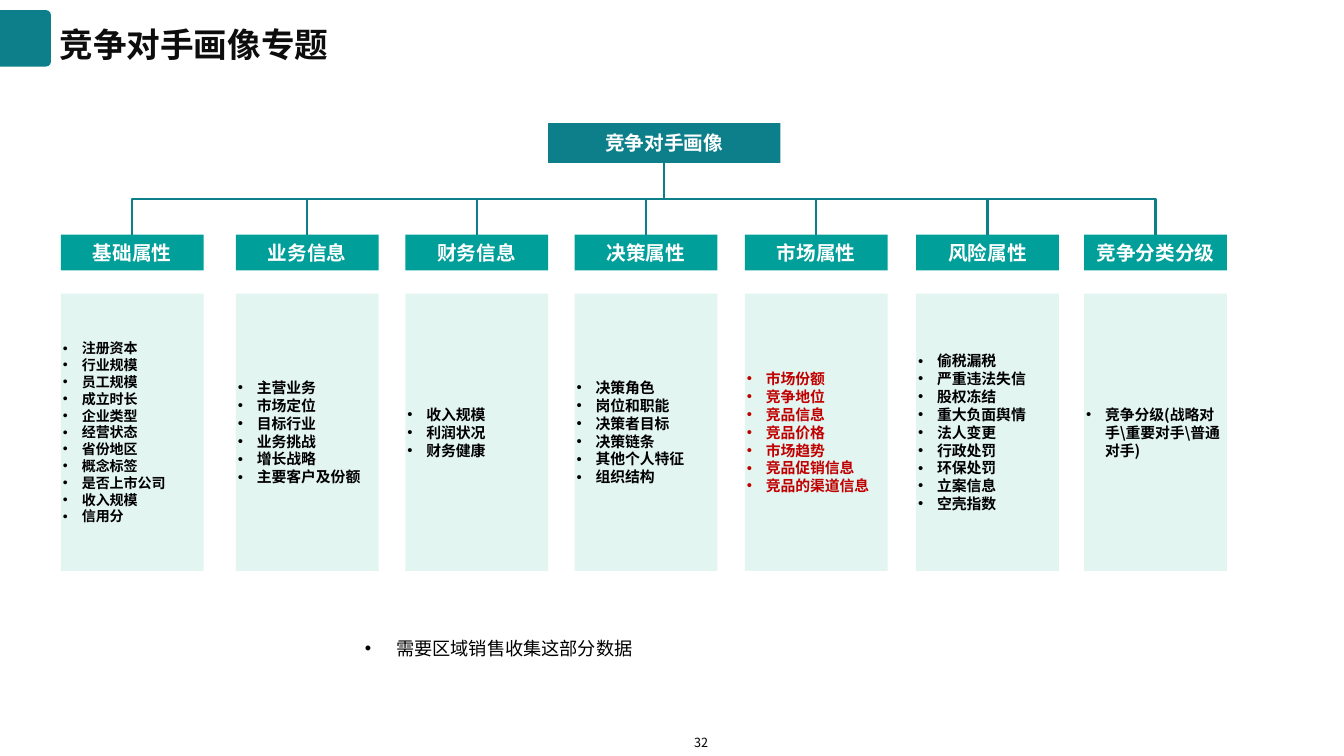
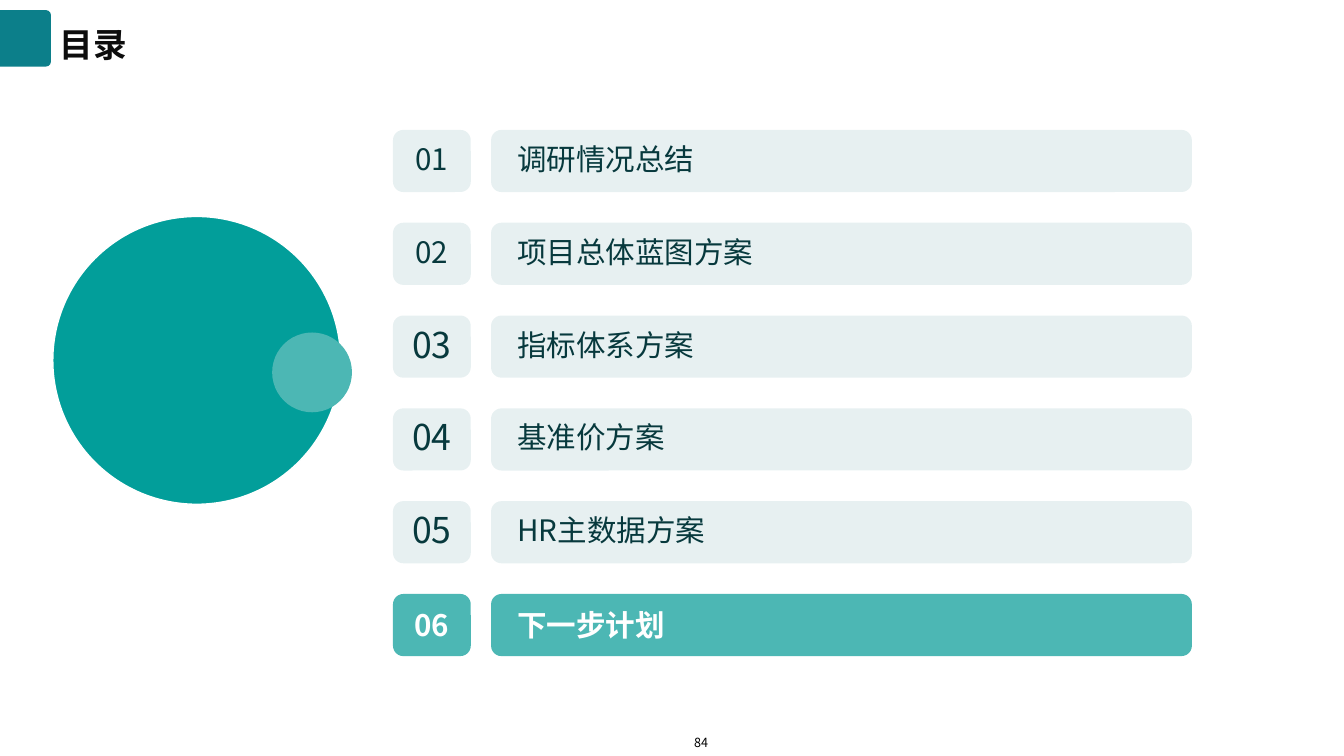
from lxml import etree
from pptx import Presentation
from pptx.dml.color import RGBColor
from pptx.enum import shapes, text
from pptx.oxml.ns import qn
from pptx.util import Pt

COLOURS = {
    "white": "FFFFFF", "black": "000000", "title": "0D0D0D",
    "deep_teal": "0C7F8A", "teal": "009F9A", "circle": "029E9A",
    "light_teal": "4CB7B4", "panel": "E3F5F1", "row": "1A757E",
    "row_text": "07393D", "alert": "C00000",
}
FONT = "Noto Sans CJK SC"
SHAPE = shapes.MSO_SHAPE
CENTRE, LEFT = text.PP_ALIGN.CENTER, text.PP_ALIGN.LEFT


def add_box(slide, kind, box, fill=None, opacity=None):
    """Add a plain shape, or a text box when kind is None."""
    lengths = [Pt(value) for value in box]
    if kind is None:
        return slide.shapes.add_textbox(*lengths)
    shape = slide.shapes.add_shape(kind, *lengths)
    shape.shadow.inherit = False
    shape.line.fill.background()
    shape.fill.solid()
    shape.fill.fore_color.rgb = RGBColor.from_string(COLOURS[fill])
    if opacity:
        colour = shape.fill._xPr.find(".//" + qn("a:srgbClr"))
        etree.SubElement(colour, qn("a:alpha"), val=str(opacity * 1000))
    return shape


def write(shape, lines, size, colour, bold=False, align=LEFT, spacing=None,
          insets=(0, 0, 0, 0), anchor=text.MSO_ANCHOR.MIDDLE, bullet_indent=0):
    """Fill a shape with evenly formatted paragraphs."""
    frame = shape.text_frame
    sides = ("margin_left", "margin_top", "margin_right", "margin_bottom")
    frame_format = {"word_wrap": True, "vertical_anchor": anchor,
                    **{side: Pt(inset) for side, inset in zip(sides, insets)}}
    for name, value in frame_format.items():
        setattr(frame, name, value)
    frame.text = "\n".join(lines)
    for paragraph in frame.paragraphs:
        paragraph.alignment = align
        paragraph.line_spacing = spacing
        if bullet_indent:
            properties = paragraph._p.get_or_add_pPr()
            properties.set("marL", str(Pt(bullet_indent)))
            properties.set("indent", str(-Pt(bullet_indent)))
            etree.SubElement(properties, qn("a:buFont"), typeface="Arial")
            etree.SubElement(properties, qn("a:buChar"), char="•")
        font = paragraph.runs[0].font
        for name, value in {"name": FONT, "size": Pt(size), "bold": bold}.items():
            setattr(font, name, value)
        font.color.rgb = RGBColor.from_string(COLOURS[colour])
        etree.SubElement(font._element, qn("a:ea"), typeface=FONT)


presentation = Presentation()
presentation.slide_width, presentation.slide_height = Pt(960), Pt(540)

# Shared frame: badge, title and page number
slides = []
for title, page in (("竞争对手画像专题", "32"), ("目录", "84")):
    slide = presentation.slides.add_slide(presentation.slide_layouts[6])
    badge = add_box(slide, SHAPE.ROUND_2_SAME_RECTANGLE, (-2, 9.2, 40.4, 36.4), "deep_teal")
    badge.rotation = 90
    badge.adjustments[0] = 0.1
    write(add_box(slide, None, (42.5, 7.2, 836.6, 40.3)), [title], 24, "title",
          bold=True, spacing=1.3)
    write(add_box(slide, None, (478.8, 521.3, 44, 18)), [page], 9, "black",
          align=CENTRE, insets=(3, 3.6, 3, 3.6), anchor=text.MSO_ANCHOR.TOP)
    slides.append(slide)
profile_slide, contents_slide = slides

# Competitor profile: root of the tree
root = add_box(profile_slide, SHAPE.RECTANGLE, (391.6, 88, 165.8, 28.4), "deep_teal")
write(root, ["竞争对手画像"], 14, "white", bold=True, align=CENTRE)

# Branches: left edge, heading, items, text size, text colour
branches = [
    (43.5, "基础属性", ["注册资本", "行业规模", "员工规模", "成立时长", "企业类型", "经营状态",
                    "省份地区", "概念标签", "是否上市公司", "收入规模", "信用分"], 10, "black"),
    (168.5, "业务信息", ["主营业务", "市场定位", "目标行业", "业务挑战", "增长战略",
                     "主要客户及份额"], 10.6, "black"),
    (289.5, "财务信息", ["收入规模", "利润状况", "财务健康"], 10.6, "black"),
    (410.4, "决策属性", ["决策角色", "岗位和职能", "决策者目标", "决策链条", "其他个人特征",
                     "组织结构"], 10.6, "black"),
    (532, "市场属性", ["市场份额", "竞争地位", "竞品信息", "竞品价格", "市场趋势",
                   "竞品促销信息", "竞品的渠道信息"], 10.6, "alert"),
    (654.4, "风险属性", ["偷税漏税", "严重违法失信", "股权冻结", "重大负面舆情", "法人变更",
                     "行政处罚", "环保处罚", "立案信息", "空壳指数"], 10.6, "black"),
    (774.4, "竞争分类分级", ["竞争分级(战略对手\\重要对手\\普通对手)"], 10.6, "black"),
]
for left, heading, items, size, colour in branches:
    header = add_box(profile_slide, SHAPE.RECTANGLE, (left, 167.7, 102, 25.5), "teal")
    write(header, [heading], 14, "white", bold=True, align=CENTRE)
    panel = add_box(profile_slide, SHAPE.RECTANGLE, (left, 209.8, 102, 198), "panel")
    write(panel, items, size, colour, bold=True, spacing=Pt(size * 1.2),
          insets=(1.5, 1.5, 1.5, 1.5), bullet_indent=13.5)

    # Elbow from the root down to the header, turned to leave vertically
    connector = profile_slide.shapes.add_connector(shapes.MSO_CONNECTOR.ELBOW, 0, 0, 0, 0)
    connector.begin_connect(root, 2)
    connector.end_connect(header, 0)
    start_x, start_y = root.left + root.width // 2, root.top + root.height
    end_x, end_y = header.left + header.width // 2, header.top
    drop, reach = end_y - start_y, abs(end_x - start_x)
    geometry = {"left": (start_x + end_x - drop) // 2, "top": (start_y + end_y - reach) // 2,
                "width": drop, "height": reach}
    for name, value in geometry.items():
        setattr(connector, name, value)
    transform = connector._element.spPr.find(qn("a:xfrm"))
    for name, value in {"rot": 5400000, "flipH": 0, "flipV": int(end_x > start_x)}.items():
        transform.set(name, str(value))
    connector.line.width = Pt(1.5)
    connector.line.color.rgb = RGBColor.from_string(COLOURS["deep_teal"])
    etree.SubElement(connector._element.spPr, qn("a:effectLst"))

# Note under the tree
write(add_box(profile_slide, None, (260.6, 455, 373, 16)), ["需要区域销售收集这部分数据"],
      13, "black", bullet_indent=22.5)

# Contents: decorative circles
large_circle = add_box(contents_slide, SHAPE.OVAL, (37.7, 154.6, 205.6, 205.6), "circle")
large_circle.line.color.rgb = RGBColor.from_string(COLOURS["white"])
large_circle.line.width = Pt(1)
add_box(contents_slide, SHAPE.OVAL, (194.4, 237.5, 57, 57), "light_teal")

# Contents: numbered rows, the last one current
chapters = [("调研情况总结", 21.1), ("项目总体蓝图方案", 21.1), ("指标体系方案", 25.4),
            ("基准价方案", 25.4), ("HR主数据方案", 25.4), ("下一步计划", 21.1)]
for index, (chapter, number_size) in enumerate(chapters):
    top = 92.8 + index * 66.3
    current = index == len(chapters) - 1
    fill, opacity = ("light_teal", None) if current else ("row", 10)
    style = {"colour": "white" if current else "row_text", "bold": current,
             "spacing": 1.0 if current else 0.9}
    number = add_box(contents_slide, SHAPE.ROUNDED_RECTANGLE, (280.7, top, 55.6, 44.4),
                     fill, opacity)
    write(number, [f"{index + 1:02}"], number_size, align=CENTRE, **style)
    row = add_box(contents_slide, SHAPE.ROUNDED_RECTANGLE, (350.8, top, 500.6, 44.4),
                  fill, opacity)
    write(row, [chapter], 21.1, insets=(16.5, 3, 5, 3), **style)

presentation.save("out.pptx")
